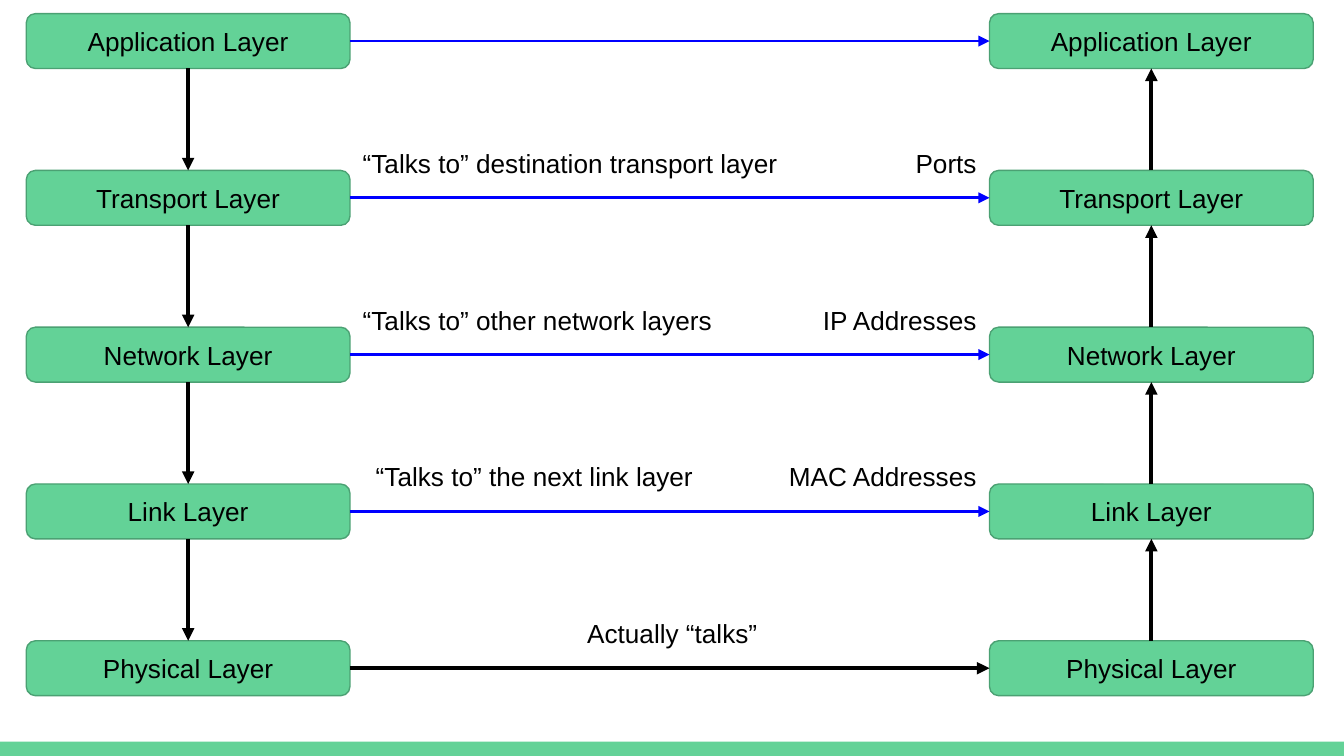
"""Build a slide of two network stacks whose layers talk to each other."""
from lxml.etree import SubElement
from pptx import Presentation
from pptx.dml.color import RGBColor
from pptx.enum.shapes import MSO_CONNECTOR, MSO_SHAPE
from pptx.enum.text import MSO_ANCHOR, PP_ALIGN
from pptx.oxml.ns import qn
from pptx.util import Pt

GREEN = RGBColor(0x63, 0xD2, 0x97)
EDGE = RGBColor(0x4B, 0xA1, 0x73)
BLUE = RGBColor(0x00, 0x00, 0xFF)
BLACK = RGBColor(0x00, 0x00, 0x00)

LAYERS = ["Application", "Transport", "Network", "Link", "Physical"]
LEFT, MID, RIGHT = PP_ALIGN.LEFT, PP_ALIGN.CENTER, PP_ALIGN.RIGHT
NOTES = [
    (1, 187.2, LEFT, "“Talks to” destination transport layer"),
    (2, 187.2, LEFT, "“Talks to” other network layers"),
    (3, 194.2, LEFT, "“Talks to” the next link layer"),
    (4, 194.2, MID, "Actually “talks”"),
    (1, 198.4, RIGHT, "Ports"),
    (2, 198.4, RIGHT, "IP Addresses"),
    (3, 198.4, RIGHT, "MAC Addresses"),
]

WIDE, HIGH = 720, 405
BAR = 7.6
BOX_W, BOX_H = 173.4, 29.4
SEND, RECV = 14.1, 530.1
TOP, STEP = 7.3, 84
NOTE_W, NOTE_H, RISE = 331.9, 38.1, 23.1
INSET = 7.2

FONT = {"name": "Arial", "size": Pt(14)}
FRAME = {
    "word_wrap": True,
    "vertical_anchor": MSO_ANCHOR.MIDDLE,
    "margin_left": Pt(INSET),
    "margin_right": Pt(INSET),
    "margin_top": Pt(INSET),
    "margin_bottom": Pt(INSET),
}


def apply(item, values):
    for key, value in values.items():
        setattr(item, key, value)


def write(shape, text, align):
    frame = shape.text_frame
    apply(frame, FRAME)
    para = frame.paragraphs[0]
    para.text = text
    para.alignment = align
    apply(para.font, FONT)
    para.font.color.rgb = BLACK


def block(slide, kind, x, y, w, h):
    shape = slide.shapes.add_shape(kind, Pt(x), Pt(y), Pt(w), Pt(h))
    shape.shadow.inherit = False
    shape.fill.solid()
    shape.fill.fore_color.rgb = GREEN
    return shape


def layer(slide, x, y, name):
    box = block(slide, MSO_SHAPE.ROUNDED_RECTANGLE, x, y, BOX_W, BOX_H)
    box.line.color.rgb = EDGE
    box.line.width = Pt(0.75)
    write(box, f"{name} Layer", MID)


def arrow(slide, start, end, color, width):
    ends = [Pt(n) for n in (*start, *end)]
    link = slide.shapes.add_connector(MSO_CONNECTOR.STRAIGHT, *ends)
    link.line.color.rgb = color
    link.line.width = Pt(width)
    SubElement(link.line._get_or_add_ln(), qn("a:tailEnd"), type="triangle")
    SubElement(link._element.spPr, qn("a:effectLst"))


def main():
    deck = Presentation()
    apply(deck, {"slide_width": Pt(WIDE), "slide_height": Pt(HIGH)})
    slide = deck.slides.add_slide(deck.slide_layouts[6])

    bar = block(slide, MSO_SHAPE.RECTANGLE, 0, HIGH - BAR, WIDE, BAR)
    bar.line.fill.background()

    rows = [TOP + STEP * i for i in range(len(LAYERS))]
    for name, y in zip(LAYERS, rows):
        layer(slide, SEND, y, name)
        layer(slide, RECV, y, name)
        mid = y + BOX_H / 2
        style = (BLACK, 2.25) if y == rows[-1] else (BLUE, 1.5)
        arrow(slide, (SEND + BOX_W, mid), (RECV, mid), *style)

    down, up = SEND + BOX_W / 2, RECV + BOX_W / 2
    for y, below in zip(rows, rows[1:]):
        base = y + BOX_H
        arrow(slide, (down, base), (down, below), BLACK, 2.25)
        arrow(slide, (up, below), (up, base), BLACK, 2.25)

    for row, x, align, text in NOTES:
        place = (x, rows[row] - RISE, NOTE_W, NOTE_H)
        note = slide.shapes.add_textbox(*[Pt(n) for n in place])
        write(note, text, align)

    deck.save("out.pptx")


if __name__ == "__main__":
    main()
